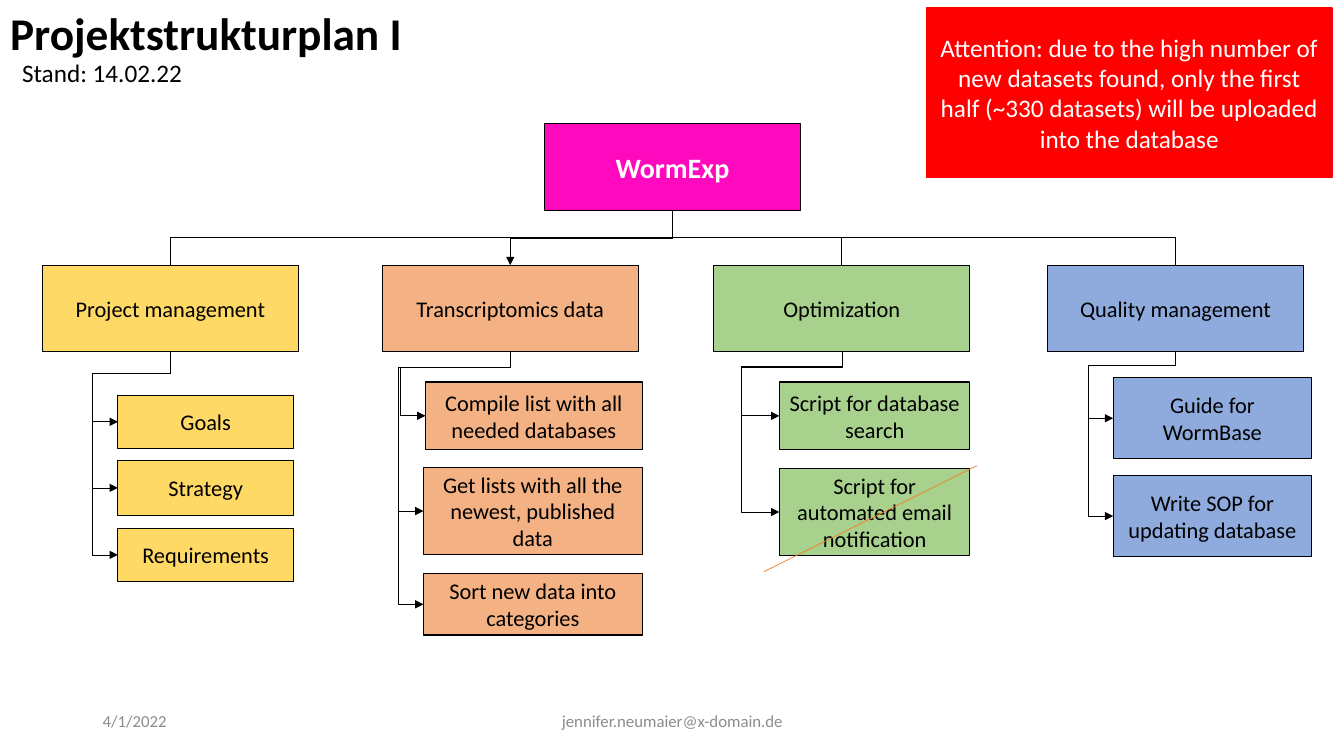
from lxml import etree
from pptx import Presentation
from pptx.dml.color import RGBColor
from pptx.enum import shapes, text
from pptx.oxml import ns
from pptx.util import Inches, Pt

COLORS = {
    "black": "000000", "white": "FFFFFF", "gray": "8C8C8C", "red": "FF0000",
    "pink": "FF09BF", "yellow": "FFD966", "orange": "F4B183",
    "green": "A9D18E", "blue": "8FAADC", "strike": "ED7D31",
}

prs = Presentation()
prs.slide_width, prs.slide_height = Inches(13.33), Inches(7.5)
slide = prs.slides.add_slide(prs.slide_layouts[5])


def put(content, at, fill=None, outline="black", outline_width=0.75, holder=None,
        size=16, color="black", bold=False, align="CENTER", anchor="MIDDLE", spacing=None):
    """Place text in a filled box, in a plain text box, or in the given holder."""
    left, top, width, height = place = [Inches(value) for value in at]
    if holder is not None:
        holder.left, holder.top, holder.width, holder.height = place
    elif fill:
        holder = slide.shapes.add_shape(shapes.MSO_SHAPE.RECTANGLE, *place)
        holder.shadow.inherit = False
        holder.fill.solid()
        holder.fill.fore_color.rgb = RGBColor.from_string(COLORS[fill])
        holder.line.color.rgb = RGBColor.from_string(COLORS[outline])
        holder.line.width = Pt(outline_width)
    else:
        holder = slide.shapes.add_textbox(*place)
    frame = holder.text_frame
    frame.text = content
    frame.word_wrap = True
    frame.auto_size = text.MSO_AUTO_SIZE.NONE
    frame.vertical_anchor = text.MSO_ANCHOR[anchor]
    paragraph = frame.paragraphs[0]
    paragraph.alignment = text.PP_ALIGN[align]
    if spacing:
        paragraph.line_spacing = spacing
    font = paragraph.runs[0].font
    font.name, font.size, font.bold = "Calibri", Pt(size), bold
    font.color.rgb = RGBColor.from_string(COLORS[color])


def connect(start, end, color="black", width=0.5, arrow=False, bends=()):
    """Draw a straight line, or with bends an elbow that leaves start downwards."""
    (x1, y1), (x2, y2) = start, end
    if bends:
        # An elbow starts sideways, so its frame is laid flat and then turned
        across, down = abs(x2 - x1), y2 - y1
        left, top = (x1 + x2 - down) / 2, (y1 + y2 - across) / 2
        x1, y1, x2, y2 = left, top, left + down, top + across
    connector = slide.shapes.add_connector(
        shapes.MSO_CONNECTOR.ELBOW if bends else shapes.MSO_CONNECTOR.STRAIGHT,
        Inches(x1), Inches(y1), Inches(x2), Inches(y2))
    connector.line.color.rgb = RGBColor.from_string(COLORS[color])
    connector.line.width = Pt(width)
    properties = connector._element.spPr
    if bends:
        frame = properties.find(ns.qn("a:xfrm"))
        to_left = end[0] < start[0]
        frame.set("rot", str((90 if to_left else 270) * 60000))
        if not to_left:
            frame.set("flipH", "1")
        geometry = properties.find(ns.qn("a:prstGeom"))
        geometry.set("prst", f"bentConnector{len(bends) + 2}")
        guides = geometry.find(ns.qn("a:avLst"))
        for number, bend in enumerate(bends, 1):
            etree.SubElement(guides, ns.qn("a:gd"), name=f"adj{number}",
                             fmla=f"val {round(bend * 100000)}")
    if arrow:
        etree.SubElement(properties.find(ns.qn("a:ln")), ns.qn("a:tailEnd"), type="triangle")
    etree.SubElement(properties, ns.qn("a:effectLst"))


put("Projektstrukturplan I", (0, 0.11, 4.42, 0.58), holder=slide.shapes.title,
    size=32.4, bold=True, align="LEFT", anchor="TOP", spacing=0.8)
put("Stand: 14.02.22", (0.12, 0.52, 2.61, 0.4), size=18, align="LEFT", anchor="TOP")
put("4/1/2022", (0.92, 6.95, 3, 0.4), size=12, color="gray", align="LEFT")
put("jennifer.neumaier@x-domain.de", (4.42, 6.95, 4.5, 0.4), size=12, color="gray")

BOX_WIDTH, BOX_HEIGHT = 2.54, 0.86
ROOT_TOP, BRANCH_TOP = 1.23, 2.63
root = (6.67, ROOT_TOP + BOX_HEIGHT)
put("WormExp", (5.4, ROOT_TOP, BOX_WIDTH, BOX_HEIGHT), fill="pink",
    size=20, color="white", bold=True)

# Branch: name, colour, left, drop below the box, gap left of the tasks, tasks
branches = [
    ("Project management", "yellow", 0.42, 0.21, 0.25, [
        ("Goals", (1.17, 3.92, 1.74, 0.53)),
        ("Strategy", (1.17, 4.57, 1.74, 0.54)),
        ("Requirements", (1.17, 5.24, 1.74, 0.53))]),
    ("Transcriptomics data", "orange", 3.79, 0.15, 0.25, [
        ("Compile list with all needed databases", (4.22, 3.79, 2.15, 0.67)),
        ("Get lists with all the newest, published data", (4.2, 4.64, 2.17, 0.86)),
        ("Sort new data into categories", (4.2, 5.69, 2.17, 0.61))]),
    ("Optimization", "green", 7.08, 0.15, 0.38, [
        ("Script for database search", (7.73, 3.79, 1.89, 0.67)),
        ("Script for automated email notification", (7.73, 4.65, 1.89, 0.86))]),
    ("Quality management", "blue", 10.39, 0.13, 0.25, [
        ("Guide for WormBase", (11.04, 3.75, 1.97, 0.8)),
        ("Write SOP for updating database", (11.04, 4.72, 1.97, 0.8))]),
]
for branch, color, left, drop, gap, tasks in branches:
    center, bottom = left + BOX_WIDTH / 2, BRANCH_TOP + BOX_HEIGHT
    has_arrow = branch == "Transcriptomics data"
    connect(root, (center, BRANCH_TOP), width=0.5 if has_arrow else 0.75,
            arrow=has_arrow, bends=[0.5])
    put(branch, (left, BRANCH_TOP, BOX_WIDTH, BOX_HEIGHT), fill=color)
    for task, at in tasks:
        task_left, task_middle = at[0], at[1] + at[3] / 2
        put(task, at, fill=color)
        connect((center, bottom), (task_left, task_middle), arrow=True,
                bends=[drop / (task_middle - bottom), 1 + gap / (center - task_left)])

put("Attention: due to the high number of new datasets found, only the first half "
    "(~330 datasets) will be uploaded into the database",
    (9.19, 0.08, 4.02, 1.68), fill="red", outline="red", outline_width=1,
    size=18, color="white")
connect((7.58, 5.67), (9.69, 4.62), color="strike")

prs.save("out.pptx")
